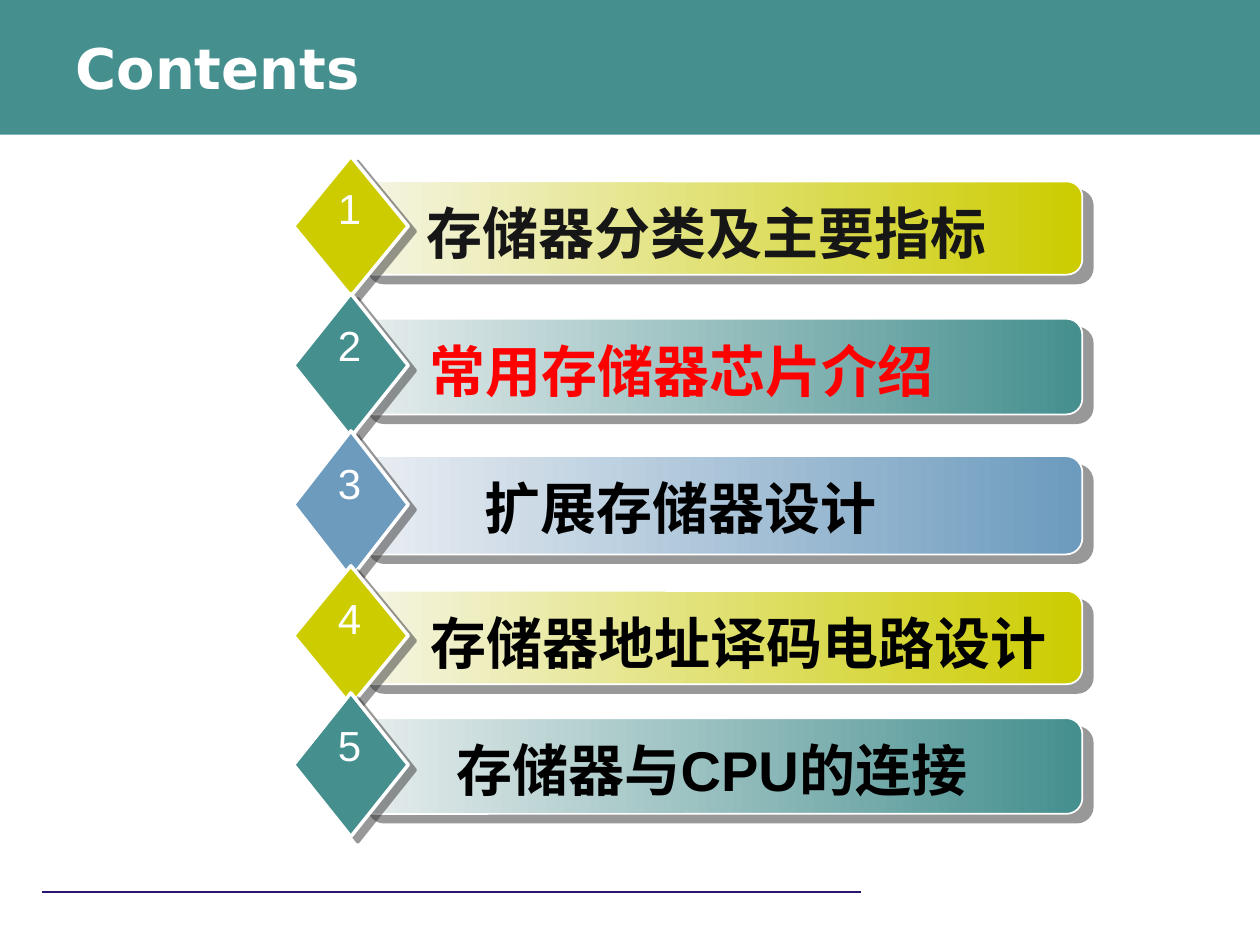
from lxml.etree import SubElement
from pptx import Presentation
from pptx.dml.color import RGBColor
from pptx.enum.shapes import MSO_CONNECTOR, MSO_SHAPE
from pptx.enum.text import MSO_ANCHOR, MSO_AUTO_SIZE, PP_ALIGN
from pptx.oxml.ns import qn
from pptx.util import Inches, Pt

WHITE = RGBColor(0xFF, 0xFF, 0xFF)
BLACK = RGBColor(0, 0, 0)
DARK = RGBColor(0x16, 0x16, 0x16)
RED = RGBColor(0xFF, 0, 0)
NAVY = RGBColor(0x2B, 0x16, 0x6E)
TEAL = RGBColor(0x45, 0x8F, 0x8F)
LIME = RGBColor(0xCC, 0xCC, 0)
BLUE = RGBColor(0x6C, 0x9B, 0xBE)
PALE = {
    TEAL: RGBColor(0xE7, 0xED, 0xED),
    LIME: RGBColor(0xF5, 0xF5, 0xE6),
    BLUE: RGBColor(0xEA, 0xEE, 0xF3),
}

# Content: label, text colour, bar colour, bar top, bar height, label left, label width
ITEMS = [
    ("存储器分类及主要指标", DARK, LIME, 1.44, 0.74, 3.14, 4.94),
    ("常用存储器芯片介绍", RED, TEAL, 2.53, 0.76, 3.14, 4.54),
    ("扩展存储器设计", BLACK, BLUE, 3.62, 0.78, 3.13, 4.54),
    ("存储器地址译码电路设计", BLACK, LIME, 4.69, 0.74, 3.31, 5.11),
    ("存储器与CPU的连接", BLACK, TEAL, 5.7, 0.76, 3.38, 4.54),
]


def write(frame, text, size, color, font="Arial", bold=False, align=PP_ALIGN.CENTER):
    para = frame.paragraphs[0]
    para.alignment = align
    run = para.add_run()
    run.text = text
    run.font.name = font
    run.font.size = Pt(size)
    run.font.bold = bold
    run.font.color.rgb = color


def label(group, text, left, top, width, height, wrap=True, **style):
    box = group.shapes.add_textbox(Inches(left), Inches(top), Inches(width), Inches(height))
    frame = box.text_frame
    frame.word_wrap = wrap
    frame.auto_size = MSO_AUTO_SIZE.SHAPE_TO_FIT_TEXT
    write(frame, text, **style)


def add_shape(owner, kind, left, top, width, height):
    shape = owner.shapes.add_shape(
        kind, Inches(left), Inches(top), Inches(width), Inches(height))
    shape.shadow.inherit = False
    return shape


def outline(shape, width, dist, angle):
    """White edge and a hard, half-clear shadow."""
    shape.line.color.rgb = WHITE
    shape.line.width = Pt(width)
    effects = shape._element.spPr.find(qn("a:effectLst"))
    shade = SubElement(effects, qn("a:outerShdw"), blurRad="0", dist=str(Pt(dist)),
                       dir=str(angle * 60000), algn="ctr", rotWithShape="0")
    tint = SubElement(shade, qn("a:srgbClr"), val="333333")
    SubElement(tint, qn("a:alpha"), val="50000")


def add_item(slide, number, item):
    text, ink, color, top, height, left, width = item
    group = slide.shapes.add_group_shape()

    bar = add_shape(group, MSO_SHAPE.ROUNDED_RECTANGLE, 2.84, top, 5.75, height)
    bar.adjustments[0] = 0.167
    bar.fill.gradient()
    bar.fill.gradient_angle = 0
    for stop, shade in zip(bar.fill.gradient_stops, (PALE[color], color)):
        stop.color.rgb = shade
    outline(bar, 1, 7.8, 40)

    gem = add_shape(group, MSO_SHAPE.DIAMOND, 2.33, top - 0.2, 0.91, height * 1.5)
    gem.fill.solid()
    gem.fill.fore_color.rgb = color
    outline(gem, 2, 5, 37)

    label(group, text, left, top + 0.09, width, 0.64, size=32, color=ink, bold=True)
    label(group, str(number), 2.58, top - 0.04, 0.39, 0.51, wrap=False,
          size=24, color=WHITE)


def main():
    deck = Presentation()
    deck.slide_width, deck.slide_height = Inches(10), Inches(7.5)
    slide = deck.slides.add_slide(deck.slide_layouts[5])

    # Header band, placed behind the title
    band = add_shape(slide, MSO_SHAPE.RECTANGLE, 0, 0, 10, 1.07)
    band.fill.solid()
    band.fill.fore_color.rgb = TEAL
    band.line.fill.background()
    title = slide.shapes.title
    band._element.addnext(title._element)
    title.left, title.top = Inches(0.5), Inches(0.22)
    title.width, title.height = Inches(6.33), Inches(0.62)
    title.text_frame.vertical_anchor = MSO_ANCHOR.MIDDLE
    write(title.text_frame, "Contents", 32, WHITE, font="DejaVu Sans",
          bold=True, align=PP_ALIGN.LEFT)

    # Footer rule
    rule = slide.shapes.add_connector(
        MSO_CONNECTOR.STRAIGHT, Inches(0.33), Inches(7.08), Inches(6.83), Inches(7.08))
    rule.line.color.rgb = NAVY
    rule.line.width = Pt(0.75)
    SubElement(rule._element.spPr, qn("a:effectLst"))

    # Numbered items
    for number, item in enumerate(ITEMS, 1):
        add_item(slide, number, item)

    deck.save("out.pptx")


if __name__ == "__main__":
    main()
